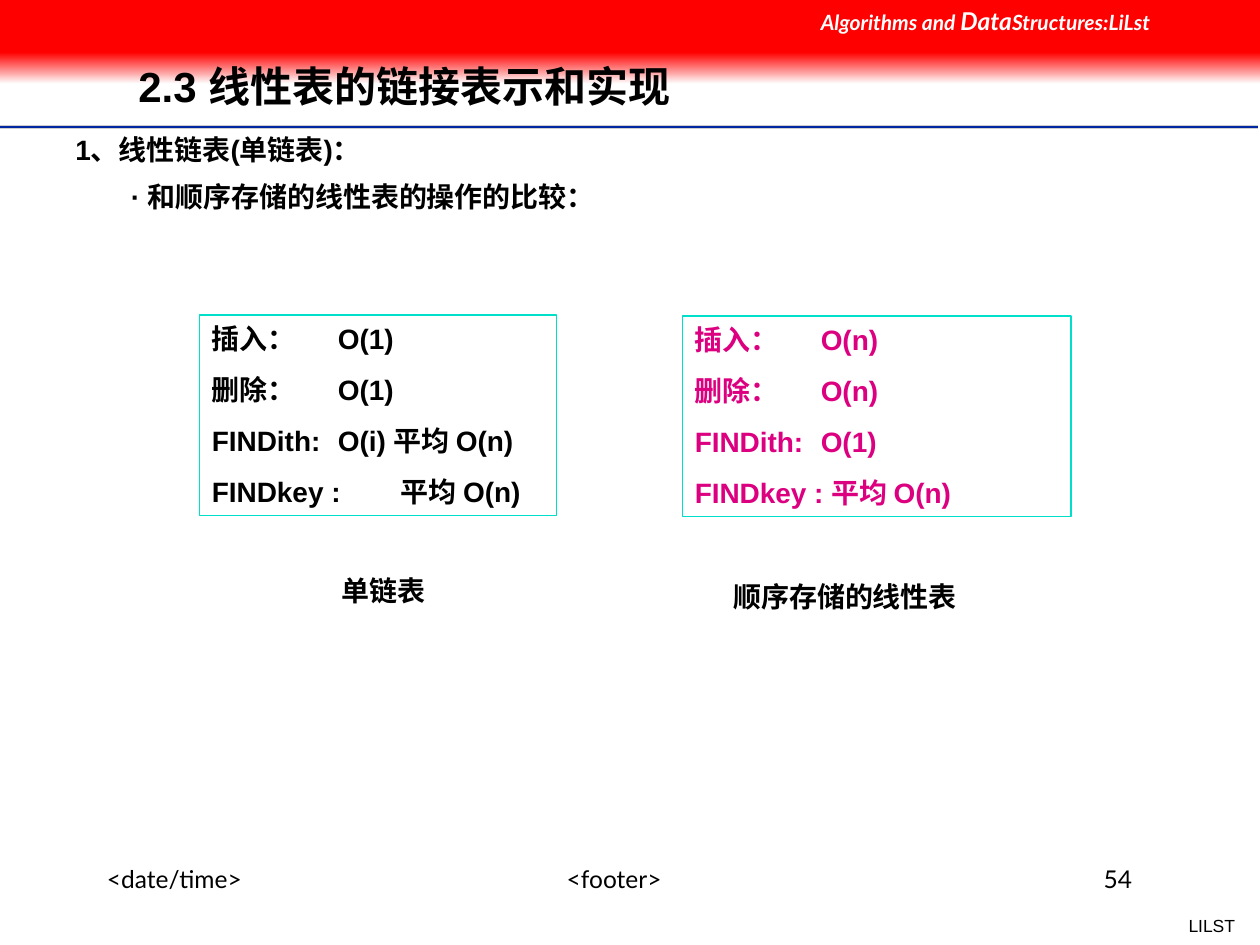
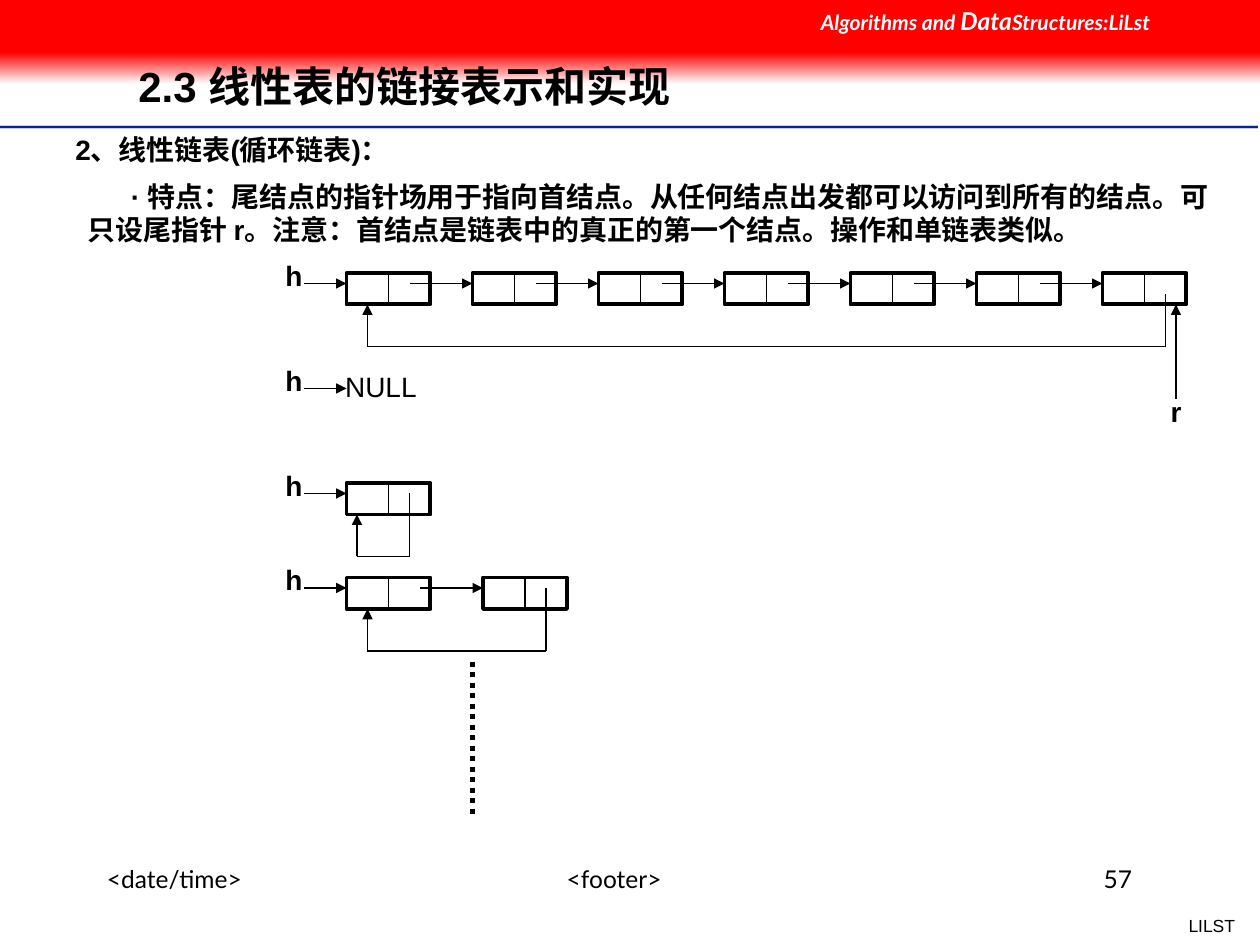
from lxml import etree
from pptx import Presentation
from pptx import util as u
from pptx.dml.color import RGBColor
from pptx.enum import dml, shapes, text
from pptx.oxml.ns import qn

STEP = 2.54 / 12  # one grid cell in cm: the slide is 120 by 90 cells
BLACK, WHITE, RED, BLUE = "000000", "FFFFFF", "FF0000", "00279F"
TEAL, PINK = "00DFCA", "DC0081"
LEFT, MID, RIGHT = text.PP_ALIGN.LEFT, text.PP_ALIGN.CENTER, text.PP_ALIGN.RIGHT
RECT = shapes.MSO_SHAPE.RECTANGLE
hue = RGBColor.from_string


def write(slide, at, lines, size=16, font="Arial", color=BLACK, bold=True,
          align=LEFT, edge=None, tabs=(), margin=0, indent=0):
    """Add a box at grid cells; each line is a list of runs, "\\v" breaks a line."""
    place = [u.Cm(v * STEP) for v in at]
    if edge:
        box = slide.shapes.add_shape(RECT, *place)
        box.shadow.inherit = False
        box.fill.background()
        box.line.color.rgb = hue(edge)
        box.line.width = u.Pt(0.75)
    else:
        box = slide.shapes.add_textbox(*place)
    frame = box.text_frame
    frame.word_wrap = True
    frame.vertical_anchor = text.MSO_ANCHOR.TOP
    for i, runs in enumerate(lines):
        para = frame.add_paragraph() if i else frame.paragraphs[0]
        para.alignment = align
        if i:
            para.space_before = u.Pt(10)
        props = para._p.get_or_add_pPr()
        props.set("marL", str(u.Cm(margin)))
        props.set("indent", str(u.Cm(indent)))
        if tabs and tabs[i]:
            stops = etree.SubElement(props, qn("a:tabLst"))
            for pos in tabs[i]:
                etree.SubElement(stops, qn("a:tab"), pos=str(u.Cm(pos)), algn="l")
        for words in runs:
            if words == "\v":
                para.add_line_break()
                continue
            run = para.add_run()
            run.text = words
            run.font.name = font
            run.font.size = u.Pt(size)
            run.font.bold = bold
            run.font.color.rgb = hue(color)
    return frame


def line(slide, ends, color=BLACK, width=0.75, arrow=False):
    """Draw a straight line between grid points x1, y1, x2, y2."""
    wire = slide.shapes.add_connector(
        shapes.MSO_CONNECTOR.STRAIGHT, *[u.Cm(v * STEP) for v in ends])
    wire.line.color.rgb = hue(color)
    wire.line.width = u.Pt(width)
    if arrow:
        etree.SubElement(wire.line._get_or_add_ln(), qn("a:tailEnd"), type="triangle")
    etree.SubElement(wire._element.spPr, qn("a:effectLst"))
    return wire


deck = Presentation()
deck.slide_width, deck.slide_height = u.Cm(25.4), u.Cm(19.05)

# Shared frame of both slides
pages = []
for number, head in (("54", "1、线性链表(单链表)："), ("57", "2、线性链表(循环链表)：")):
    page = deck.slides.add_slide(deck.slide_layouts[6])
    pages.append(page)
    for y, color, width in ((12.1, "CECECE", 2), (12.1, BLUE, 1), (12.35, WHITE, 1)):
        line(page, (0, y, 119.8, y), color, width)

    for top, high in ((5, 3), (0, 5)):
        band = page.shapes.add_shape(
            RECT, *[u.Cm(v * STEP) for v in (0, top, 120, high)])
        band.shadow.inherit = False
        band.line.fill.background()
        if top:
            band.fill.gradient()
            band.fill.gradient_angle = 270
            for stop, color, pos in zip(band.fill.gradient_stops, (RED, "FEFEFE"), (0, 1)):
                stop.color.rgb = hue(color)
                stop.position = pos
        else:
            band.fill.solid()
            band.fill.fore_color.rgb = hue(RED)

    course = write(page, (77, 0, 43, 4), [["Algorithms and ", "Data", "Structures:LiLst"]],
                   12, "Lato", WHITE)
    for run in course.paragraphs[0].runs:
        run.font.italic = True
    course.paragraphs[0].runs[1].font.size = u.Pt(14)

    title = write(page, (12, 4, 90.6, 8.9), [["2.3 线性表的链接表示和实现"]], 24)
    title.vertical_anchor = text.MSO_ANCHOR.MIDDLE
    title.paragraphs[0].line_spacing = 0.9
    write(page, (0, 12, 115, 4.4), [[head]], margin=1.27)

    for x, wide, words, align in ((9, 23, "<date/time>", LEFT), (41, 35, "<footer>", MID),
                                  (86, 23, number, RIGHT)):
        write(page, (x, 81.7, wide, 6), [[words]], 14, "Lato", bold=False, align=align)
    write(page, (108, 86.6, 10.8, 3.2), [["LILST"]], 10, bold=False, align=RIGHT)

cost, ring = pages

# Slide 1: cost of the operations
write(cost, (0, 16.5, 115, 4.4), [["· 和顺序存储的线性表的操作的比较："]],
      margin=1.27, indent=1.12)
write(cost, (19, 30, 34, 19.1),
      [["插入：\tO(1)"], ["删除：\tO(1)"], ["FINDith:\tO(i) 平均 O(n)"], ["FINDkey :\t平均 O(n)"]],
      edge=TEAL, tabs=((4.5,), (4.5,), (2.64,), (3.98,)))
write(cost, (65, 30.1, 37, 19.1),
      [["插入：\tO(n)"], ["删除：\tO(n)"], ["FINDith:\tO(1)"], ["FINDkey : 平均 O(n)"]],
      color=PINK, edge=TEAL, tabs=((3.73,), (3.73,), (4.05,), ()))
write(cost, (28, 54, 17, 4.4), [["单链表"]], align=MID)
write(cost, (65, 54.6, 31, 4.4), [["顺序存储的线性表"]], align=MID)

# Slide 2: circular lists
write(ring, (0, 16.5, 120, 7.7),
      [["· 特点：尾结点的指针场用于指向首结点。从任何结点出发都可以访问到所有的结点。可", "\v",
        "只设尾指针 r。注意：首结点是链表中的真正的第一个结点。操作和单链表类似。"]],
      margin=1.52, indent=0.87)

# top of row, left of each node, start of link in node, depth of last link, return point
rows = ((26, range(33, 106, 12), 6, 2, 35),
        (36, (), 0, 0, 0),
        (46, (33,), 6, 1, 34),
        (55, (33, 46), 7, 1, 35))
for y, nodes, link, deep, back in rows:
    for i, x in enumerate(nodes):
        node = ring.shapes.add_shape(RECT, *[u.Cm(v * STEP) for v in (x, y, 8, 3)])
        node.shadow.inherit = False
        node.fill.solid()
        node.fill.fore_color.rgb = hue(WHITE)
        node.line.color.rgb = hue(BLACK)
        node.line.width = u.Pt(2.25)
        split = line(ring, (x + 4, y, x + 4, y + 3))
        split.begin_connect(node, 0)
        split.end_connect(node, 2)
        if i:
            line(ring, (nodes[i - 1] + link, y + 1, x, y + 1), arrow=True)
    if nodes:
        last, low = nodes[-1] + 6, y + 7
        line(ring, (last, y + deep, last, low))
        line(ring, (last, low, back, low))
        line(ring, (back, low, back, y + 3), arrow=True)
    line(ring, (29, y + 1, 33, y + 1), arrow=True)
    write(ring, (25, y - 2, 6, 4.4), [["h"]], align=MID)

write(ring, (31.7, 34.6, 24, 4.4), [["NULL"]], bold=False)
line(ring, (112, 38, 112, 29), arrow=True)
write(ring, (109, 37, 6, 4.4), [["r"]], align=MID)
dots = line(ring, (45, 63, 45, 78), width=3)
dots.line.dash_style = dml.MSO_LINE.ROUND_DOT

deck.save("out.pptx")
